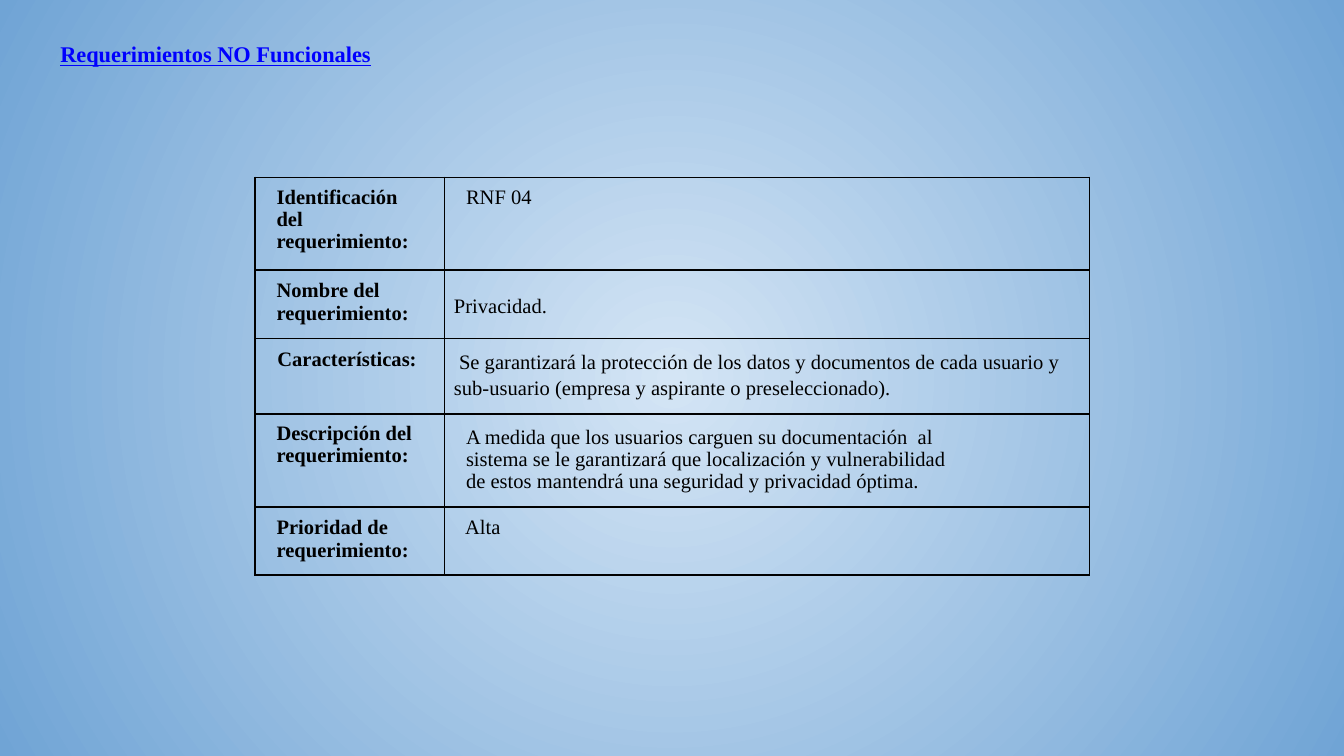
from lxml import etree
from pptx import Presentation
from pptx import util as u
from pptx.dml.color import RGBColor
from pptx.enum import text
from pptx.oxml import parse_xml
from pptx.oxml.ns import nsdecls, qn

COLORS = {"title": "0000FF", "ink": "000000", "center": "D4E5F5", "edge": "70A4D5"}
FONT = "Times New Roman"
INSET = 5
INDENT = 6.5
COLUMN_WIDTHS = [101.5, 345.5]
ROW_HEIGHTS = [49.8, 36.6, 39.4, 49.8, 36.6]

# Each row: label options, then value options.
ROWS = [
    (dict(lines=["Identificación del", "requerimiento:"], spacing=0.96, right=12),
     dict(lines=["RNF 04"])),
    (dict(lines=["Nombre del", "requerimiento:"]),
     dict(lines=["Privacidad."], indent=0, spacing=1.15, middle=True)),
    (dict(lines=["Características:"], indent=0, right=8, centered=True),
     dict(lines=["Se garantizará la protección de los datos y documentos de cada usuario y "
                 "sub-usuario (empresa y aspirante o preseleccionado)."],
          indent=0, first_line=2.75, spacing=1.15)),
    (dict(lines=["Descripción del requerimiento:"], spacing=0.96),
     dict(lines=["A medida que los usuarios carguen su documentación  al sistema se le "
                 "garantizará que localización y vulnerabilidad de estos mantendrá una "
                 "seguridad y privacidad óptima."], spacing=0.96, middle=True, right=72)),
    (dict(lines=["Prioridad de", "requerimiento:"]),
     dict(lines=["Alta"], indent=6)),
]


def set_font(paragraph, size, color, bold):
    """Set the font of a whole paragraph."""
    font = paragraph.font
    font.name, font.size, font.bold = FONT, u.Pt(size), bold
    font.color.rgb = RGBColor.from_string(COLORS[color])


def set_indent(paragraph, left, first_line=0):
    """Set the left margin and first-line indent."""
    properties = paragraph._p.get_or_add_pPr()
    properties.set("marL", str(u.Pt(left)))
    properties.set("indent", str(u.Pt(first_line)))


def add_background(slide):
    """Fill the background with a gradient spreading from the centre."""
    fill = slide.background.fill
    fill.gradient()
    for stop, name in zip(fill.gradient_stops, ("center", "edge")):
        stop.color.rgb = RGBColor.from_string(COLORS[name])
    gradient = slide.element.find(".//" + qn("a:gradFill"))
    linear = gradient.find(qn("a:lin"))
    gradient.replace(linear, parse_xml(
        f'<a:path {nsdecls("a")} path="circle">'
        '<a:fillToRect l="50000" t="50000" r="50000" b="50000"/></a:path>'))


def add_title(slide, title):
    """Add the underlined heading."""
    shape = slide.shapes.add_textbox(u.Pt(24.5), u.Pt(14.4), u.Pt(671), u.Pt(45))
    frame = shape.text_frame
    frame.word_wrap = True
    frame.margin_left = frame.margin_right = u.Pt(7.2)
    frame.margin_top = frame.margin_bottom = u.Pt(7.2)
    paragraph = frame.paragraphs[0]
    paragraph.text = title
    set_font(paragraph, 12, "title", True)
    paragraph.font.underline = True
    set_indent(paragraph, 0.7)


def add_borders(cell, width=1):
    """Draw a solid line on all four sides of a cell."""
    properties = cell._tc.get_or_add_tcPr()
    for position, side in enumerate(("lnL", "lnR", "lnT", "lnB")):
        line = etree.Element(qn("a:" + side), w=str(u.Pt(width)))
        fill = etree.SubElement(line, qn("a:solidFill"))
        etree.SubElement(fill, qn("a:srgbClr"), val=COLORS["ink"])
        properties.insert(position, line)


def fill_cell(cell, lines, bold, indent=INDENT, first_line=0, spacing=1.0,
              right=INSET, middle=False, centered=False):
    """Write and format one table cell."""
    cell.fill.background()
    cell.margin_left = cell.margin_top = cell.margin_bottom = u.Pt(INSET)
    cell.margin_right = u.Pt(right)
    anchor = text.MSO_ANCHOR
    cell.vertical_anchor = anchor.MIDDLE if middle else anchor.TOP
    cell.text = "\n".join(lines)
    for paragraph in cell.text_frame.paragraphs:
        set_font(paragraph, 11, "ink", bold)
        set_indent(paragraph, indent, first_line)
        paragraph.line_spacing = spacing
        paragraph.alignment = text.PP_ALIGN.CENTER if centered else text.PP_ALIGN.LEFT
    add_borders(cell)


def add_requirement_table(slide):
    """Add the table of labels and values."""
    table = slide.shapes.add_table(
        len(ROWS), 2, u.Pt(136.7), u.Pt(95),
        u.Pt(sum(COLUMN_WIDTHS)), u.Pt(sum(ROW_HEIGHTS))).table
    table.first_row = table.horz_banding = False
    for column, width in zip(table.columns, COLUMN_WIDTHS):
        column.width = u.Pt(width)
    for row, height, (label, value) in zip(table.rows, ROW_HEIGHTS, ROWS):
        row.height = u.Pt(height)
        fill_cell(row.cells[0], bold=True, **label)
        fill_cell(row.cells[1], bold=False, **value)


def main():
    """Build and save the slide."""
    presentation = Presentation()
    presentation.slide_width, presentation.slide_height = u.Pt(720), u.Pt(405)
    slide = presentation.slides.add_slide(presentation.slide_layouts[6])
    add_background(slide)
    add_title(slide, "Requerimientos NO Funcionales")
    add_requirement_table(slide)
    presentation.save("out.pptx")


main()
